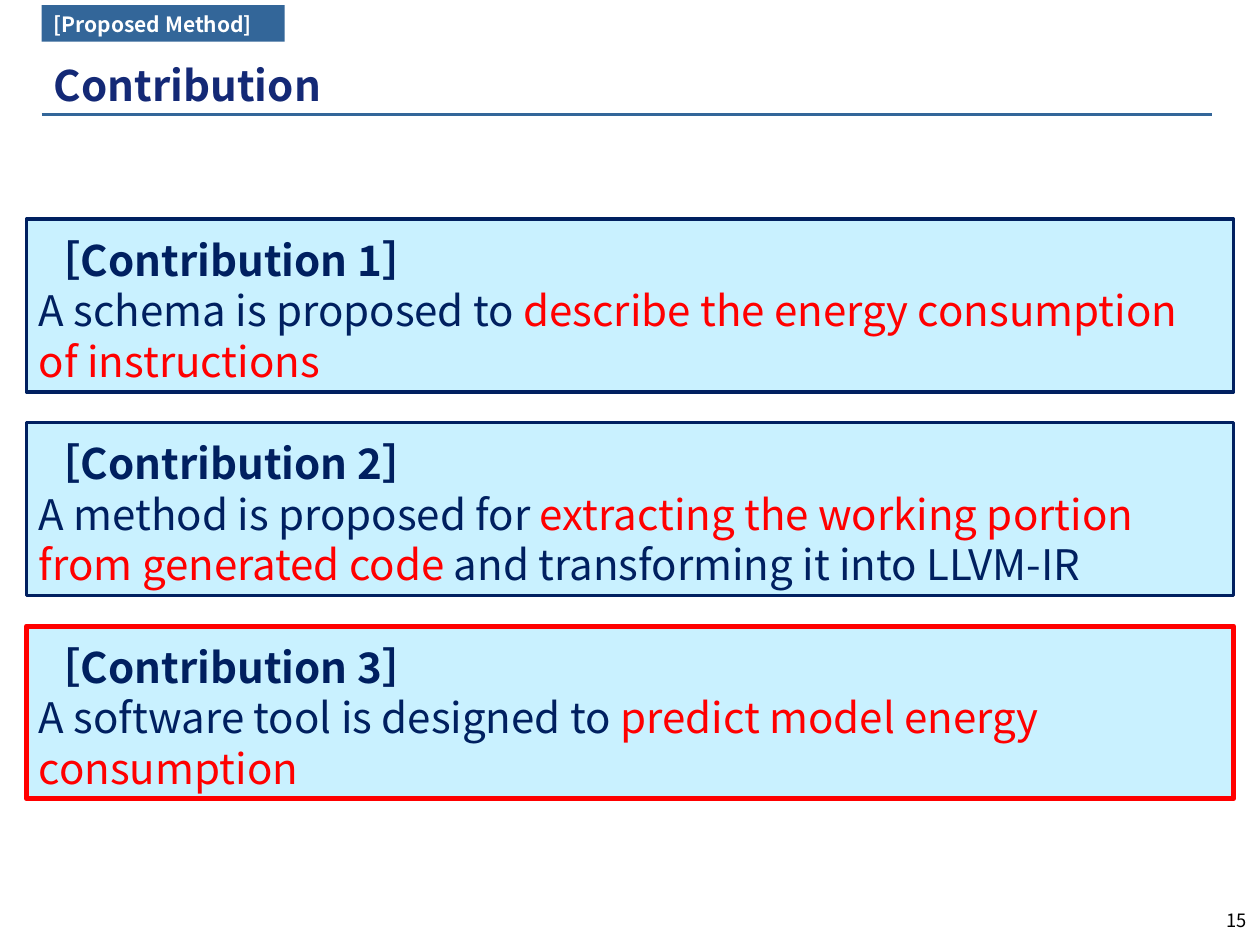
import pptx
import pptx.util
import pptx.dml.color
import pptx.enum.shapes
import pptx.enum.text
import pptx.oxml.ns
from lxml import etree

Inches, Pt = pptx.util.Inches, pptx.util.Pt
RGBColor = pptx.dml.color.RGBColor
PP_ALIGN = pptx.enum.text.PP_ALIGN
MSO_ANCHOR = pptx.enum.text.MSO_ANCHOR
qn = pptx.oxml.ns.qn

FONT = "Noto Sans CJK JP"
WHITE = RGBColor(0xFF, 0xFF, 0xFF)
BLACK = RGBColor(0, 0, 0)
BLUE = RGBColor(0x33, 0x66, 0x99)
TITLE_BLUE = RGBColor(0x14, 0x29, 0x76)
NAVY = RGBColor(0x00, 0x20, 0x60)
PALE = RGBColor(0xC9, 0xF1, 0xFF)
RED = RGBColor(0xFF, 0, 0)


def add_run(p, text, size=24, color=NAVY, bold=False):
    r = p.add_run()
    r.text = text
    f = r.font
    f.name, f.size, f.bold = FONT, Pt(size), bold
    f.color.rgb = color
    # East Asian typeface, used by the full-width brackets
    latin = r._r.rPr.find(qn("a:latin"))
    ea = etree.Element(qn("a:ea"), typeface=FONT)
    latin.addnext(ea)


class SlideBuilder:
    def __init__(self, slide):
        self.s = slide

    def text(self, x, y, w, h, text, align=PP_ALIGN.LEFT,
             anchor=MSO_ANCHOR.TOP, **fmt):
        sp = self.s.shapes.add_textbox(Inches(x), Inches(y), Inches(w), Inches(h))
        tf = sp.text_frame
        tf.word_wrap = True
        tf.vertical_anchor = anchor
        p = tf.paragraphs[0]
        p.alignment = align
        add_run(p, text, **fmt)

    def rule(self, x1, x2, y):
        c = self.s.shapes.add_connector(
            pptx.enum.shapes.MSO_CONNECTOR.STRAIGHT,
            Inches(x1), Inches(y), Inches(x2), Inches(y))
        c.line.color.rgb = BLUE
        c.line.width = Pt(1.5)
        etree.SubElement(c._element.spPr, qn("a:effectLst"))

    def box(self, x, y, w, h, fill, line=None, width=2, top=0.05):
        """Draw a filled rectangle and return its first paragraph."""
        sp = self.s.shapes.add_shape(
            pptx.enum.shapes.MSO_SHAPE.RECTANGLE,
            Inches(x), Inches(y), Inches(w), Inches(h))
        sp.shadow.inherit = False
        sp.fill.solid()
        sp.fill.fore_color.rgb = fill
        if line is None:
            sp.line.fill.background()
        else:
            sp.line.color.rgb = line
            sp.line.width = Pt(width)
        tf = sp.text_frame
        tf.word_wrap = True
        tf.vertical_anchor = MSO_ANCHOR.TOP
        tf.margin_top = Inches(top)
        p = tf.paragraphs[0]
        p.alignment = PP_ALIGN.LEFT
        # Space before: 20 % of a line
        before = etree.SubElement(p._p.get_or_add_pPr(), qn("a:spcBef"))
        etree.SubElement(before, qn("a:spcPct"), val="20000")
        return p

    def contribution(self, y, heading, parts, line, width):
        p = self.box(0.21, y, 9.58, 1.37, PALE, line, width, top=0.12)
        add_run(p, heading, bold=True)
        p.add_line_break()
        for text, color in parts:
            add_run(p, text, color=color)


def main():
    prs = pptx.Presentation()
    prs.slide_width, prs.slide_height = Inches(10), Inches(7.5)
    b = SlideBuilder(prs.slides.add_slide(prs.slide_layouts[6]))

    # Header and page number
    b.rule(0.33, 9.62, 0.91)
    b.text(0.33, 0.42, 8.5, 0.5, "Contribution", anchor=MSO_ANCHOR.MIDDLE,
           color=TITLE_BLUE, bold=True)
    b.text(9.33, 7.17, 0.66, 0.33, "15", align=PP_ALIGN.RIGHT,
           size=10.5, color=BLACK)
    add_run(b.box(0.33, 0.04, 1.93, 0.29, BLUE), "[Proposed Method]",
            size=12, color=WHITE, bold=True)

    # Contributions, the last one highlighted
    contributions = [
        ([("A schema is proposed to ", NAVY),
          ("describe the energy consumption of instructions", RED)], NAVY, 2),
        ([("A method is proposed for ", NAVY),
          ("extracting the working portion from generated code ", RED),
          ("and transforming it into LLVM-IR", NAVY)], NAVY, 2),
        ([("A software tool is designed to ", NAVY),
          ("predict model energy consumption", RED)], RED, 3),
    ]
    for i, (parts, line, width) in enumerate(contributions):
        b.contribution(1.74 + i * 1.615, f"［Contribution {i + 1}］",
                       parts, line, width)

    prs.save("out.pptx")


if __name__ == "__main__":
    main()
